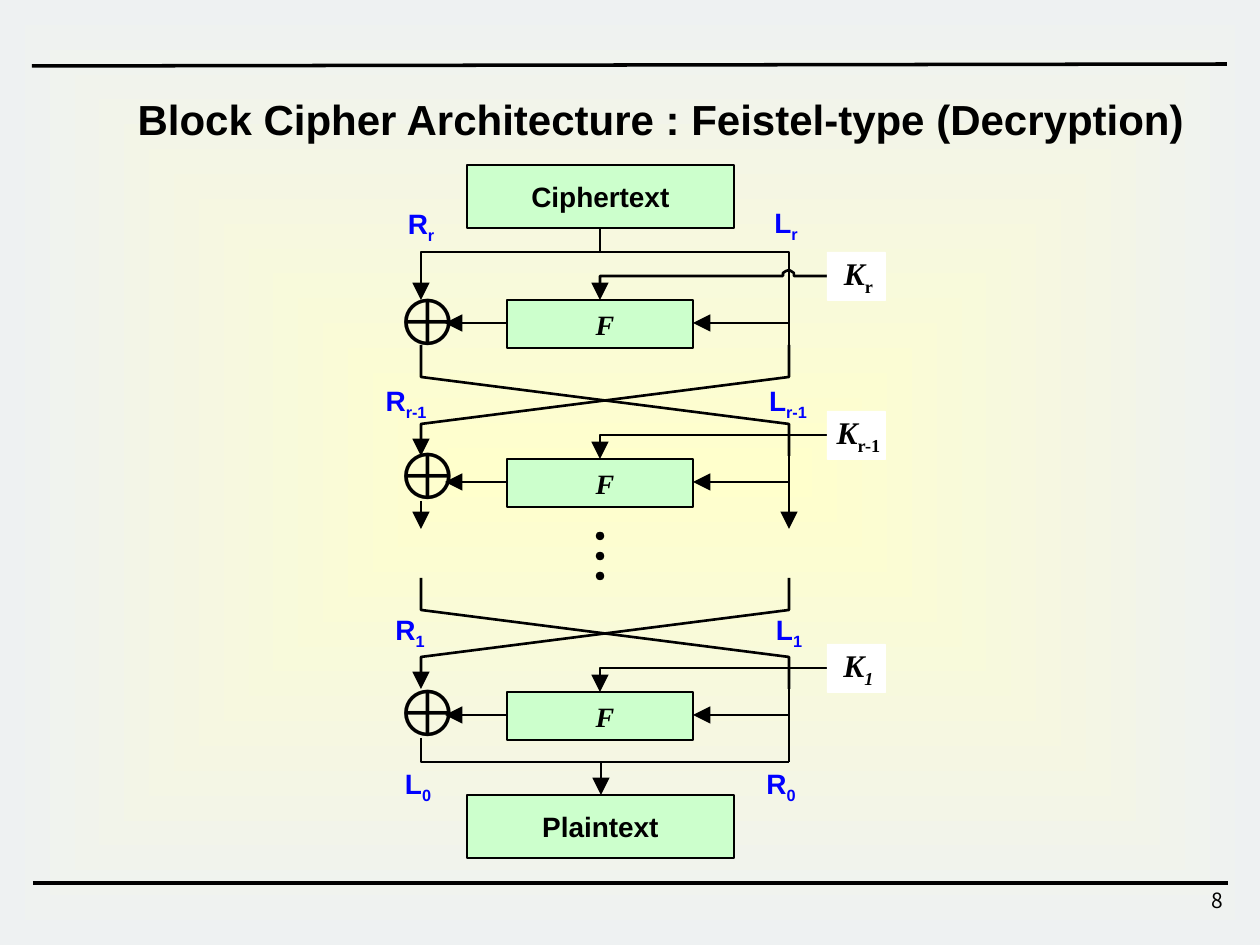
from lxml import etree
from pptx import Presentation
from pptx.dml.color import RGBColor
from pptx.enum.shapes import MSO_CONNECTOR, MSO_SHAPE
from pptx.enum.text import MSO_ANCHOR, MSO_AUTO_SIZE, PP_ALIGN
from pptx.oxml import parse_xml
from pptx.oxml.ns import nsdecls, qn
from pptx.util import Pt

PX = 914400 / 126
BLACK, WHITE, BLUE, GREEN = "000000", "FFFFFF", "0000FF", "CCFFCC"
SANS, SERIF = "Arial", "Times New Roman"
LEFT, CENTRE, RIGHT = 421, 600, 789
color = RGBColor.from_string


def draw_wire(points, width=1.5, arrow=False):
    """Draw a line through the points, with an optional arrowhead at the last one."""
    spots = [(round(x * PX), round(y * PX)) for x, y in points]
    if len(spots) == 2:
        wire = page.shapes.add_connector(MSO_CONNECTOR.STRAIGHT, *spots[0], *spots[1])
        etree.SubElement(wire.element.spPr, qn("a:effectLst"))
    else:
        builder = page.shapes.build_freeform(*spots[0])
        builder.add_line_segments(spots[1:], close=False)
        wire = builder.convert_to_shape()
        wire.shadow.inherit = False
        wire.fill.background()
    wire.line.width = Pt(width)
    wire.line.color.rgb = color(BLACK)
    if arrow:
        head = etree.SubElement(wire.line._get_or_add_ln(), qn("a:tailEnd"))
        head.set("type", "triangle")
        head.set("w", "lg")
        head.set("len", "lg")


def write_label(shape, text, size, font=SANS, ink=BLACK, sub="", italic=(False, False)):
    """Centre bold text in the shape, followed by an optional subscript."""
    frame = shape.text_frame
    frame.word_wrap = False
    frame.vertical_anchor = MSO_ANCHOR.MIDDLE
    frame.margin_left = frame.margin_right = frame.margin_top = frame.margin_bottom = 0
    para = frame.paragraphs[0]
    para.text = text
    para.alignment = PP_ALIGN.CENTER
    if sub:
        span = para.add_run()
        span.text = sub
        span._r.get_or_add_rPr().set("baseline", "-25000")
    for span, slanted in zip(para.runs, italic):
        span.font.name = font
        span.font.size = Pt(size)
        span.font.bold = True
        span.font.italic = slanted
        span.font.color.rgb = color(ink)


deck = Presentation()
deck.slide_width, deck.slide_height = round(1260 * PX), round(945 * PX)
page = deck.slides.add_slide(deck.slide_layouts[5])

# Title
title = page.shapes.title
title.left, title.top, title.width, title.height = [round(n * PX) for n in (125, 87, 1082, 63)]
title.text_frame.text = "Block Cipher Architecture : Feistel-type (Decryption)"
title.text_frame.word_wrap = False
title.text_frame.auto_size = MSO_AUTO_SIZE.NONE
title_para = title.text_frame.paragraphs[0]
title_para.alignment = PP_ALIGN.LEFT
title_para.font.name = SANS
title_para.font.size = Pt(24)
title_para.font.bold = True
title_para.font.color.rgb = color(BLACK)

# Backdrop, behind the title
backdrop = page.shapes.add_shape(MSO_SHAPE.RECTANGLE, 0, 0, deck.slide_width, deck.slide_height)
backdrop.shadow.inherit = False
backdrop.line.fill.background()
backdrop.fill.gradient()
for stop, tint in zip(backdrop.fill.gradient_stops, ("FFFFCC", "EEF1F2")):
    stop.color.rgb = color(tint)
gradient = backdrop.element.spPr.find(qn("a:gradFill"))
gradient.replace(gradient.find(qn("a:lin")), parse_xml(
    f'<a:path {nsdecls("a")} path="shape">'
    '<a:fillToRect l="50000" t="50000" r="50000" b="50000"/></a:path>'))
title.element.addprevious(backdrop.element)

# Page rules and number
draw_wire([(32, 66), (1227, 64)], 2)
draw_wire([(33, 883), (1228, 883)], 2)
number = page.shapes.add_textbox(*[round(n * PX) for n in (974, 881, 262, 42)])
number.text_frame.text = "8"
number.text_frame.word_wrap = True
number_para = number.text_frame.paragraphs[0]
number_para.alignment = PP_ALIGN.RIGHT
number_para.font.name = "Noto Sans CJK KR"
number_para.font.size = Pt(12)
number_para.font.color.rgb = color(BLACK)

# Ciphertext splits into two halves, which merge again into the plaintext
draw_wire([(CENTRE, 228), (CENTRE, 252), (LEFT, 252), (LEFT, 300)], 1.25, arrow=True)
draw_wire([(CENTRE, 228), (CENTRE, 252), (RIGHT, 252), (RIGHT, 323)], 1.25)
draw_wire([(LEFT, 738), (LEFT, 762), (RIGHT, 762)])
draw_wire([(CENTRE + 1, 762), (CENTRE + 1, 795)], arrow=True)

# Halves swap between rounds
for top in (345, 578):
    draw_wire([(LEFT, top), (LEFT, top + 32), (RIGHT, top + 79), (RIGHT, top + 111)])
    draw_wire([(RIGHT, top), (RIGHT, top + 32), (LEFT, top + 79), (LEFT, top + 111)], arrow=True)

draw_wire([(RIGHT, 305), (RIGHT, 365)])
draw_wire([(RIGHT, 454), (RIGHT, 529)], arrow=True)
draw_wire([(RIGHT, 688), (RIGHT, 762)])
draw_wire([(LEFT, 501), (LEFT, 529)], arrow=True)

# Rounds: function box, XOR sign and key; the first key wire hops over the right half
hop = [(794, 276), (794, 273), (791, 271), (789, 270), (786, 271), (783, 273), (783, 276)]
blocks = [(467, 165, 267, 63, GREEN, "Ciphertext", 16, SANS, "", (False, False), 0),
          (467, 795, 267, 63, GREEN, "Plaintext", 16, SANS, "", (False, False), 0)]
for top, xor_top, bridge, key, slanted in ((300, 281, hop, "r", False),
                                         (459, 435, [], "r-1", False),
                                         (692, 672, [], "1", True)):
    draw_wire([(827, top - 24), *bridge, (CENTRE, top - 24), (CENTRE, top)], arrow=True)
    draw_wire([(RIGHT, top + 23), (693, top + 23)], arrow=True)
    draw_wire([(507, top + 23), (445, top + 23)], arrow=True)
    xor = page.shapes.add_textbox(*[round(n * PX) for n in (396, xor_top, 49, 78)])
    write_label(xor, "⊕", 37)
    blocks.append((507, top, 186, 48, GREEN, "F", 16, SERIF, "", (True, False), 10))
    blocks.append((827, top - 48, 58, 48, WHITE, "K", 18, SERIF, key, (True, slanted), 5))

for x, y, width, height, fill, text, size, font, sub, italic, indent in blocks:
    block = page.shapes.add_shape(MSO_SHAPE.RECTANGLE,
                                  *[round(n * PX) for n in (x, y, width, height)])
    block.shadow.inherit = False
    block.fill.solid()
    block.fill.fore_color.rgb = color(fill)
    block.line.color.rgb = color(WHITE if fill == WHITE else BLACK)
    block.line.width = Pt(0.25 if fill == WHITE else 0.75)
    write_label(block, text, size, font, sub=sub, italic=italic)
    block.text_frame.margin_left = round(indent * PX)

# Omitted rounds
for y in (532, 552, 572):
    dot = page.shapes.add_shape(MSO_SHAPE.OVAL, *[round(n * PX) for n in (596, y, 8, 8)])
    dot.shadow.inherit = False
    dot.fill.solid()
    dot.fill.fore_color.rgb = color(BLACK)
    dot.line.color.rgb = color(BLACK)
    dot.line.width = Pt(0.25)

# Names of the halves, by centre and top
for half, index, centre, top in (("R", "r", 421, 209), ("L", "r", 786, 208),
                                 ("R", "r-1", 406, 386), ("L", "r-1", 788, 386),
                                 ("R", "1", 410, 615), ("L", "1", 789, 615),
                                 ("L", "0", 418, 769), ("R", "0", 781, 769)):
    name = page.shapes.add_textbox(*[round(n * PX) for n in (centre - 22, top, 44, 34)])
    write_label(name, half, 16, ink=BLUE, sub=index)

deck.save("out.pptx")
